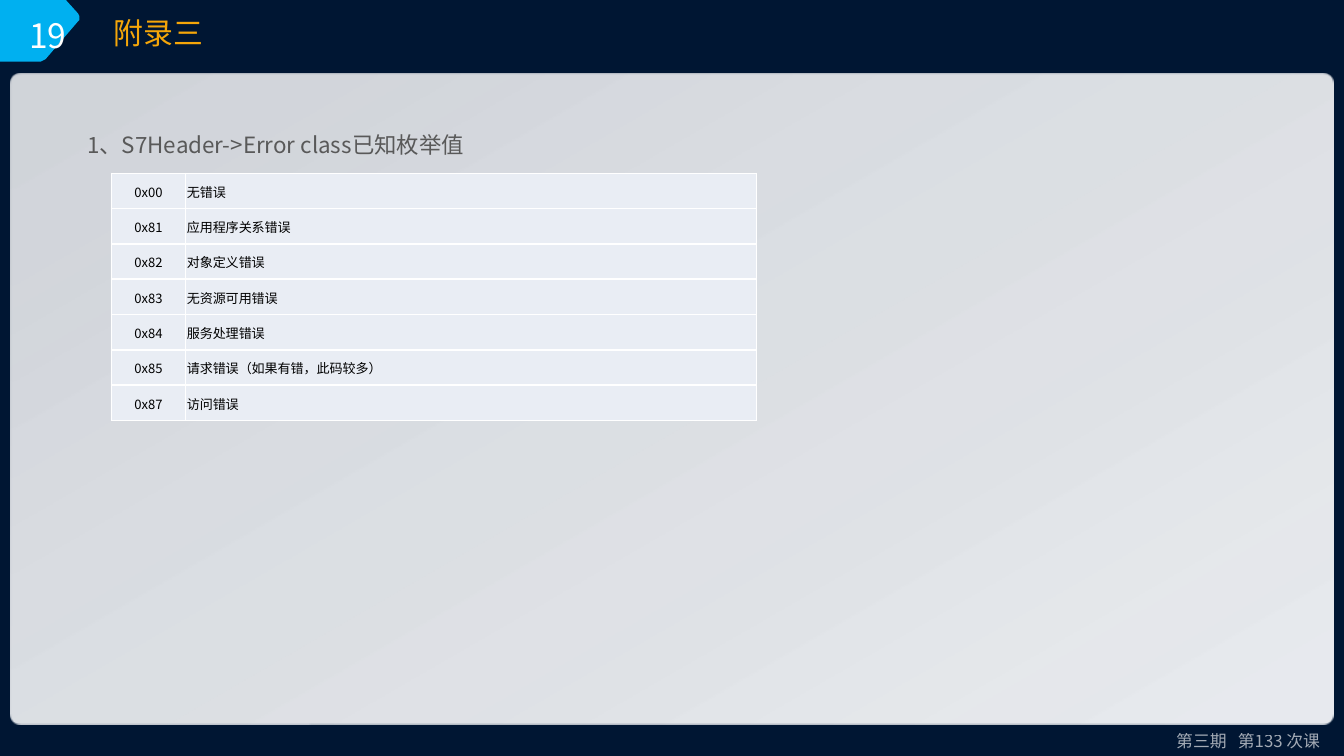
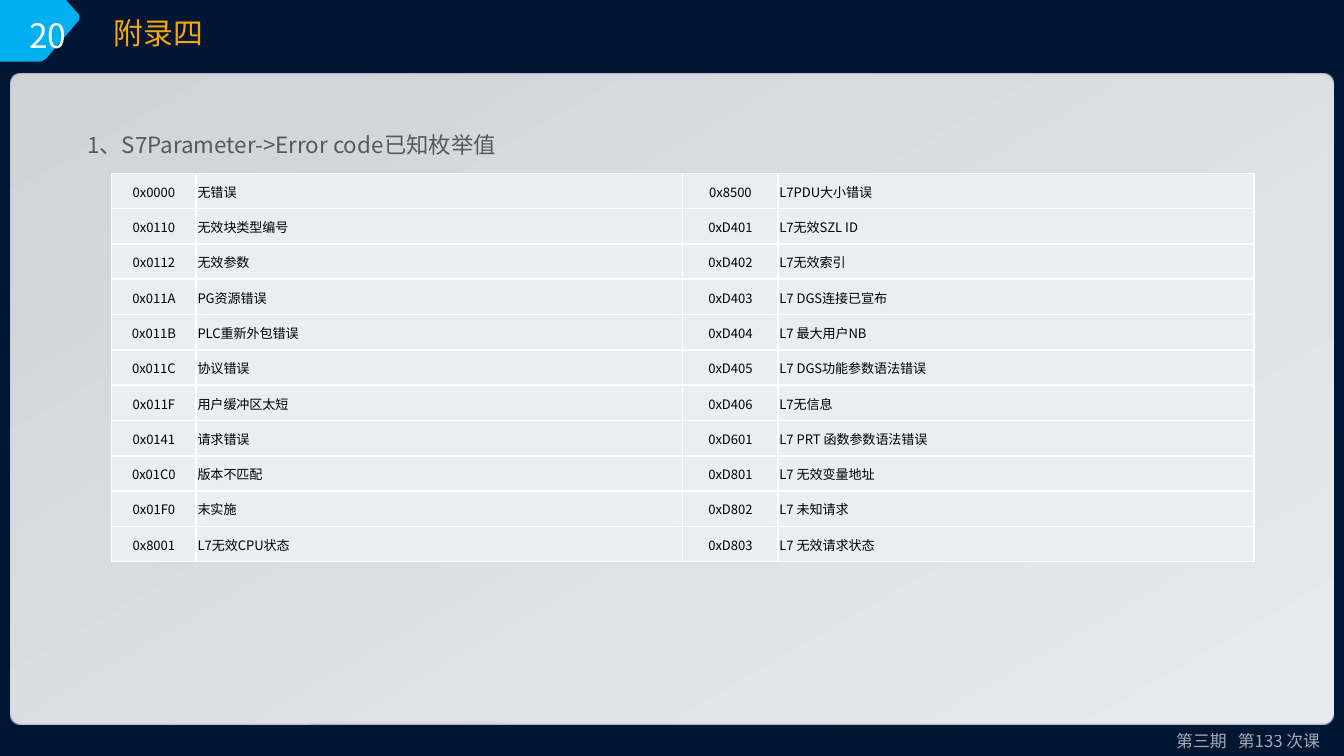
from dataclasses import dataclass

from lxml.etree import SubElement
from pptx import Presentation
from pptx.dml.color import RGBColor
from pptx.enum.shapes import MSO_SHAPE
from pptx.enum.text import MSO_ANCHOR, MSO_AUTO_SIZE, PP_ALIGN
from pptx.oxml.ns import qn
from pptx.util import Inches, Pt

FOOTER = "第三期   第133 次课"

APPENDICES = [
    {
        "page": "19",
        "title": "附录三",
        "heading": "1、S7Header->Error class已知枚举值",
        "columns": [0.55, 4.25],
        "codes": [
            ("0x00", "无错误"),
            ("0x81", "应用程序关系错误"),
            ("0x82", "对象定义错误"),
            ("0x83", "无资源可用错误"),
            ("0x84", "服务处理错误"),
            ("0x85", "请求错误（如果有错，此码较多）"),
            ("0x87", "访问错误"),
        ],
    },
    {
        "page": "20",
        "title": "附录四",
        "heading": "1、S7Parameter->Error code已知枚举值",
        "columns": [0.63, 3.62, 0.71, 3.54],
        "codes": [
            ("0x0000", "无错误", "0x8500", "L7PDU大小错误"),
            ("0x0110", "无效块类型编号", "0xD401", "L7无效SZL ID"),
            ("0x0112", "无效参数", "0xD402", "L7无效索引"),
            ("0x011A", "PG资源错误", "0xD403", "L7 DGS连接已宣布"),
            ("0x011B", "PLC重新外包错误", "0xD404", "L7 最大用户NB"),
            ("0x011C", "协议错误", "0xD405", "L7 DGS功能参数语法错误"),
            ("0x011F", "用户缓冲区太短", "0xD406", "L7无信息"),
            ("0x0141", "请求错误", "0xD601", "L7 PRT 函数参数语法错误"),
            ("0x01C0", "版本不匹配", "0xD801", "L7 无效变量地址"),
            ("0x01F0", "末实施", "0xD802", "L7 未知请求"),
            ("0x8001", "L7无效CPU状态", "0xD803", "L7 无效请求状态"),
        ],
    },
]


@dataclass(frozen=True)
class Theme:
    font: str = "Noto Sans CJK SC"
    night: str = "001633"
    flag: str = "00B0F0"
    white: str = "FFFFFF"
    title: str = "F5A609"
    heading: str = "595959"
    cell: str = "E9EDF4"
    cell_text: str = "000000"
    panel_stops: tuple = ((0.05, "FFFFFF", 81), (1, "FBFCFE", 92))
    footer_opacity: int = 63
    page_size: int = 18
    title_size: int = 16
    heading_size: int = 12
    footer_size: int = 9
    cell_size: int = 7
    border_width: float = 1


THEME = Theme()
WIDTH = 10
HEIGHT = WIDTH * 9 / 16
MARGIN, PANEL_TOP, FOOTER_TOP = 0.08, 0.55, 5.39
TABLE_LEFT, TABLE_TOP = 0.83, 1.29
ROW_HEIGHT = 1.84 / 7
# Hundredths of an inch
FLAG_OUTLINE = [(0, 0), (49, 0), (58, 10), (59, 12), (59, 15), (58, 16),
                (34, 44), (32, 45), (30, 46), (0, 46)]


def rgb(code):
    return RGBColor.from_string(code)


def set_opacity(element, percents):
    """Give each RGB colour inside element its opacity, in order."""
    for colour, percent in zip(element.iter(qn("a:srgbClr")), percents):
        SubElement(colour, qn("a:alpha"), val=str(percent * 1000))


def style_paragraph(paragraph, size, colour, align=PP_ALIGN.LEFT):
    paragraph.alignment = align
    paragraph.font.size = Pt(size)
    paragraph.font.color.rgb = rgb(colour)
    paragraph.font.name = THEME.font
    defaults = paragraph._p.pPr.find(qn("a:defRPr"))
    SubElement(defaults, qn("a:ea"), typeface=THEME.font)


def add_text(slide, words, box, size, colour, align=PP_ALIGN.LEFT):
    frame = slide.shapes.add_textbox(*map(Inches, box)).text_frame
    frame.word_wrap = True
    frame.auto_size = MSO_AUTO_SIZE.SHAPE_TO_FIT_TEXT
    paragraph = frame.paragraphs[0]
    paragraph.text = words
    style_paragraph(paragraph, size, colour, align)
    return paragraph


def add_frame(slide):
    """Draw the corner flag, the pale panel and the footer."""
    outline = slide.shapes.build_freeform(*FLAG_OUTLINE[0], scale=Inches(0.01))
    outline.add_line_segments(FLAG_OUTLINE[1:])
    flag = outline.convert_to_shape()
    flag.fill.solid()
    flag.fill.fore_color.rgb = rgb(THEME.flag)

    panel = slide.shapes.add_shape(
        MSO_SHAPE.ROUNDED_RECTANGLE, Inches(MARGIN), Inches(PANEL_TOP),
        Inches(WIDTH - 2 * MARGIN), Inches(FOOTER_TOP - PANEL_TOP))
    panel.adjustments[0] = 0.016
    panel.fill.gradient()
    panel.fill.gradient_angle = 300
    for stop, (position, colour, _) in zip(panel.fill.gradient_stops, THEME.panel_stops):
        stop.position = position
        stop.color.rgb = rgb(colour)
    set_opacity(panel._element.spPr, [opacity for *_, opacity in THEME.panel_stops])
    for shape in (flag, panel):
        shape.line.fill.background()
        shape.shadow.inherit = False

    footer = add_text(slide, FOOTER, (8.15, FOOTER_TOP, 1.77, 0.25),
                      THEME.footer_size, THEME.white, PP_ALIGN.RIGHT)
    set_opacity(footer._p, [THEME.footer_opacity])


def style_cell(cell, words, align):
    cell.text = words
    cell.vertical_anchor = MSO_ANCHOR.MIDDLE
    cell.margin_left = cell.margin_right = cell.margin_top = Inches(0.01)
    cell.margin_bottom = 0
    style_paragraph(cell.text_frame.paragraphs[0], THEME.cell_size, THEME.cell_text, align)
    properties = cell._tc.get_or_add_tcPr()
    for side in ("lnL", "lnR", "lnT", "lnB"):
        border = SubElement(properties, qn(f"a:{side}"), w=str(Pt(THEME.border_width)))
        SubElement(SubElement(border, qn("a:solidFill")), qn("a:srgbClr"), val=THEME.white)
    cell.fill.solid()
    cell.fill.fore_color.rgb = rgb(THEME.cell)


def add_code_table(slide, columns, codes):
    """Draw alternating columns of centred codes and left-aligned meanings."""
    table = slide.shapes.add_table(
        len(codes), len(columns), Inches(TABLE_LEFT), Inches(TABLE_TOP),
        Inches(sum(columns)), Inches(ROW_HEIGHT * len(codes))).table
    table.first_row = table.horz_banding = False
    for column, width in zip(table.columns, columns):
        column.width = Inches(width)
    for row, entries in zip(table.rows, codes):
        row.height = Inches(ROW_HEIGHT)
        for index, (cell, words) in enumerate(zip(row.cells, entries)):
            style_cell(cell, words, PP_ALIGN.LEFT if index % 2 else PP_ALIGN.CENTER)


def add_appendix(deck, appendix):
    slide = deck.slides.add_slide(deck.slide_layouts[6])
    slide.background.fill.solid()
    slide.background.fill.fore_color.rgb = rgb(THEME.night)
    add_frame(slide)
    add_text(slide, appendix["page"], (0.12, 0.06, 0.5, 0.4), THEME.page_size, THEME.white)
    add_text(slide, appendix["title"], (0.75, 0.06, 6.3, 0.37), THEME.title_size, THEME.title)
    heading = add_text(slide, appendix["heading"], (0.55, 0.83, 8.43, 0.36),
                       THEME.heading_size, THEME.heading)
    heading.line_spacing = 1.5
    add_code_table(slide, appendix["columns"], appendix["codes"])


def main():
    deck = Presentation()
    deck.slide_width, deck.slide_height = Inches(WIDTH), Inches(HEIGHT)
    for appendix in APPENDICES:
        add_appendix(deck, appendix)
    deck.save("out.pptx")


if __name__ == "__main__":
    main()
